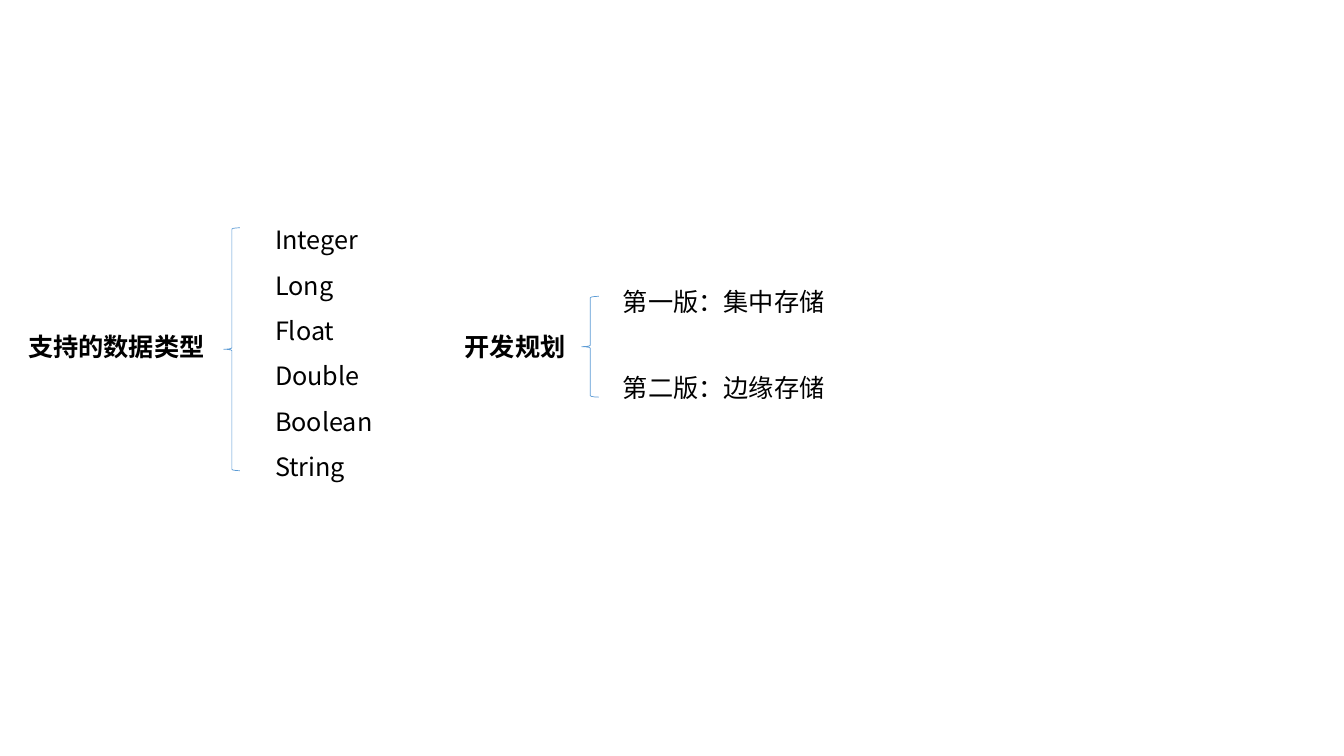
from lxml.etree import SubElement
from pptx import Presentation
from pptx.dml.color import RGBColor
from pptx.enum.shapes import MSO_SHAPE as Preset
from pptx.enum.text import MSO_AUTO_SIZE as AutoSize
from pptx.oxml.ns import qn
from pptx.util import Inches, Pt

FONT = "Noto Sans CJK SC"
INK = "000000"
BRACE_BLUE = "5B9BD5"


def color(hex_code):
    """Turn a hex string into a colour."""
    return RGBColor.from_string(hex_code)


def add_label(group, left, top, width, height, lines, bold=False, wrap=False, spacing=None):
    """Add one text box with a paragraph per line."""
    label = group.shapes.add_textbox(Inches(left), Inches(top), Inches(width), Inches(height))
    frame = label.text_frame
    frame.text = "\n".join(lines)
    frame.word_wrap = wrap
    frame.auto_size = AutoSize.SHAPE_TO_FIT_TEXT
    for paragraph in frame.paragraphs:
        if spacing:
            paragraph.line_spacing = spacing
        for run in paragraph.runs:
            run.font.name = FONT
            run.font.size = Pt(18)
            run.font.bold = bold
            run.font.color.rgb = color(INK)
            SubElement(run.font._element, qn("a:ea"), typeface=FONT)


def add_brace(group, left, top, width, height):
    """Add a thin left brace."""
    brace = group.shapes.add_shape(
        Preset.LEFT_BRACE, Inches(left), Inches(top), Inches(width), Inches(height))
    brace.shadow.inherit = False
    brace.fill.background()
    brace.line.color.rgb = color(BRACE_BLUE)
    brace.line.width = Pt(0.5)


def add_data_types(slide, left, top):
    """Place the supported data types and their heading."""
    group = slide.shapes.add_group_shape()
    types = ["Integer", "Long", "Float", "Double", "Boolean", "String"]
    add_label(group, left + 2.45, top, 1.62, 2.83, types, wrap=True, spacing=1.5)
    add_label(group, left, top + 1.21, 1.97, 0.4, ["支持的数据类型"], bold=True)
    add_brace(group, left + 2.04, top + 0.23, 0.16, 2.41)


def add_roadmap(slide, left, top):
    """Place the development plan and its versions."""
    group = slide.shapes.add_group_shape()
    add_label(group, left, top + 0.45, 1.21, 0.4, ["开发规划"], bold=True)
    add_brace(group, left + 1.26, top + 0.15, 0.17, 1)
    versions = [("第一版：集中存储", 2.28), ("第二版：边缘存储", 2.22)]
    for row, (version, width) in enumerate(versions):
        add_label(group, left + 1.57, top + row * 0.85, width, 0.4, [version])


def main():
    """Build and save the slide."""
    deck = Presentation()
    deck.slide_width, deck.slide_height = Inches(13.33), Inches(7.5)
    slide = deck.slides.add_slide(deck.slide_layouts[6])
    add_data_types(slide, 0.18, 2.03)
    add_roadmap(slide, 4.51, 2.79)
    deck.save("out.pptx")


main()
